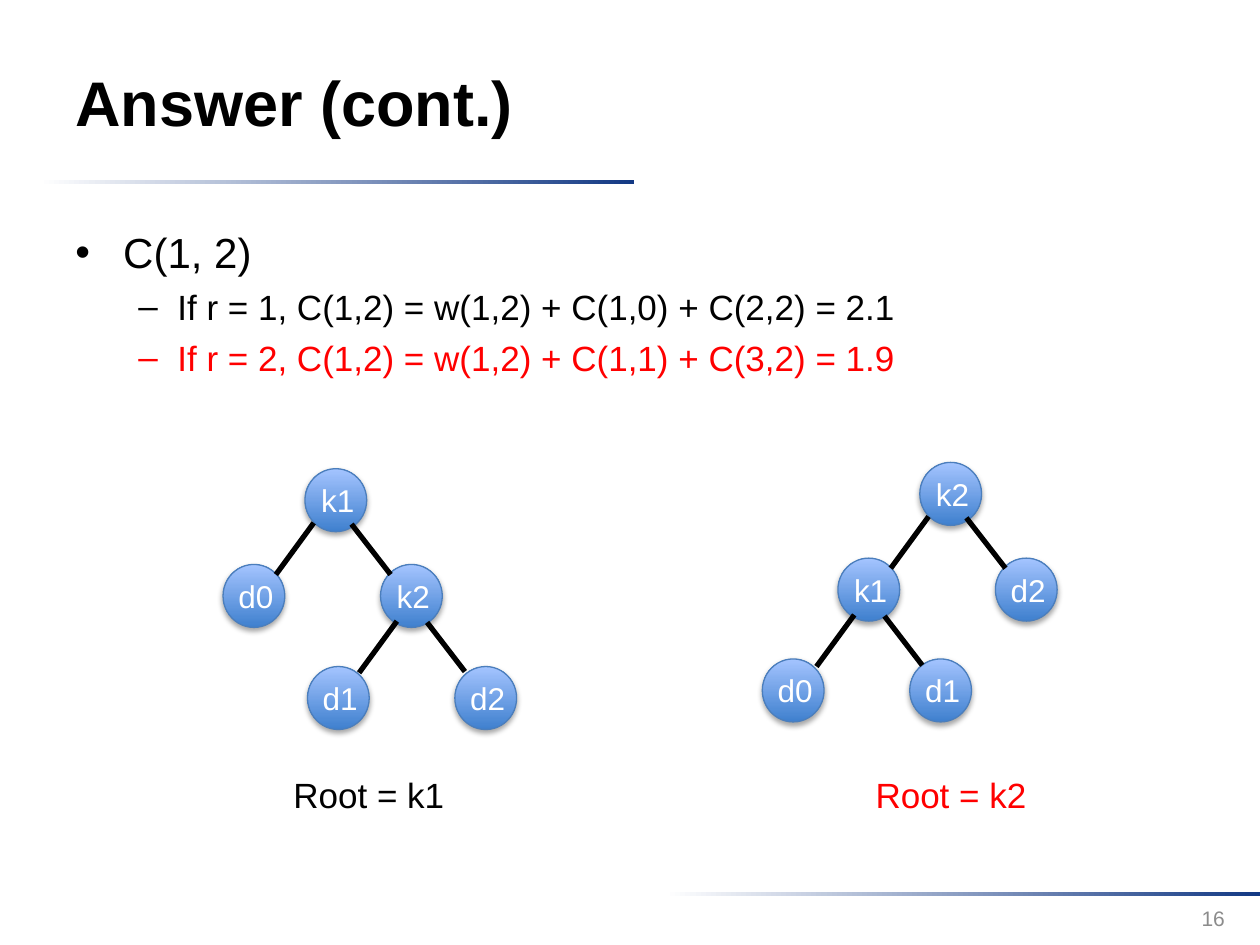
from lxml import etree
from pptx import Presentation
from pptx.dml.color import RGBColor
from pptx.enum.shapes import MSO_CONNECTOR, MSO_SHAPE
from pptx.enum.text import MSO_ANCHOR, PP_ALIGN
from pptx.oxml import parse_xml
from pptx.oxml.ns import nsdecls, qn
from pptx.util import Inches, Pt

LEFT, CENTER, RIGHT = PP_ALIGN.LEFT, PP_ALIGN.CENTER, PP_ALIGN.RIGHT
TOP, MIDDLE = MSO_ANCHOR.TOP, MSO_ANCHOR.MIDDLE
OVAL, RECTANGLE = MSO_SHAPE.OVAL, MSO_SHAPE.RECTANGLE
STRAIGHT = MSO_CONNECTOR.STRAIGHT

BLACK, RED, WHITE, GRAY = "000000", "FF0000", "FFFFFF", "8C8C8C"
NAVY, NODE_DARK, NODE_LIGHT, NODE_LINE = "133984", "3F80CE", "A4C4FF", "4B7EBC"

NODE_SHADOW = (
    f'<a:effectLst {nsdecls("a")}><a:outerShdw blurRad="39370" dist="22860" '
    'dir="5400000" rotWithShape="0"><a:srgbClr val="000000">'
    '<a:alpha val="35000"/></a:srgbClr></a:outerShdw></a:effectLst>'
)

UPPER_EDGES = ((0.07, 0.43, -0.30, 0.41), (0.37, 0.44, 0.31, 0.40))
LOWER_EDGES = ((0.13, 0.45, -0.30, 0.41), (0.37, 0.46, 0.30, 0.39))


def color(value):
    return RGBColor.from_string(value)


class SlideBuilder:
    font_name = "Arial"

    def __init__(self, slide):
        self.slide = slide

    def run(self, paragraph, text, size, ink, bold=False):
        run = paragraph.add_run()
        run.text = text
        run.font.name = self.font_name
        run.font.size = Pt(size)
        run.font.bold = bold
        run.font.color.rgb = color(ink)

    def gradient(self, shape, start, end, angle):
        shape.fill.gradient()
        shape.fill.gradient_angle = angle
        for stop, value in zip(shape.fill.gradient_stops, (start, end)):
            stop.color.rgb = color(value)

    def rule(self, left, top):
        shape = self.slide.shapes.add_shape(
            RECTANGLE, Inches(left), Inches(top), Inches(4.72), Inches(0.03))
        shape.shadow.inherit = False
        shape.line.fill.background()
        self.gradient(shape, WHITE, NAVY, 0)

    def text_box(self, box, anchor=TOP, wrap=True, parent=None):
        shapes = (parent or self.slide).shapes
        frame = shapes.add_textbox(*map(Inches, box)).text_frame
        frame.word_wrap = wrap
        frame.vertical_anchor = anchor
        return frame

    def label(self, box, text, size, ink, align=LEFT, bold=False, **options):
        paragraph = self.text_box(box, **options).paragraphs[0]
        paragraph.alignment = align
        self.run(paragraph, text, size, ink, bold)

    def bullets(self, box, items):
        frame = self.text_box(box)
        for index, (text, mark, size, ink, margin, hanging) in enumerate(items):
            paragraph = frame.paragraphs[0] if index == 0 else frame.add_paragraph()
            properties = paragraph._p.get_or_add_pPr()
            properties.set("marL", str(Inches(margin)))
            properties.set("indent", str(-Inches(hanging)))
            etree.SubElement(properties, qn("a:buFont")).set("typeface", self.font_name)
            etree.SubElement(properties, qn("a:buChar")).set("char", mark)
            if index:
                paragraph.level = 1
                paragraph.space_before = Pt(5)
            self.run(paragraph, text, size, ink)

    def node(self, group, left, top, text):
        shape = group.shapes.add_shape(
            OVAL, Inches(left), Inches(top), Inches(0.49), Inches(0.5))
        self.gradient(shape, NODE_DARK, NODE_LIGHT, 90)
        shape.line.color.rgb = color(NODE_LINE)
        shape.line.width = Pt(0.75)
        shape._element.spPr.append(parse_xml(NODE_SHADOW))
        self.label((left + 0.02, top + 0.05, 0.48, 0.4), text, 18, WHITE,
                   CENTER, wrap=False, parent=group)

    def edge(self, group, left, top, width, height):
        connector = group.shapes.add_connector(
            STRAIGHT, Inches(left), Inches(top),
            Inches(left + width), Inches(top + height))
        connector.line.color.rgb = color(BLACK)
        connector.line.width = Pt(3)
        etree.SubElement(connector._element.spPr, qn("a:effectLst"))

    def tree(self, left, top, root, inner, nodes):
        group = self.slide.shapes.add_group_shape()
        self.node(group, left, top, root)
        for text, across, down in nodes:
            self.node(group, left + across, top + down, text)
        inner_left, inner_top = inner
        levels = ((left, top, UPPER_EDGES),
                  (left + inner_left, top + inner_top, LOWER_EDGES))
        for parent_left, parent_top, edges in levels:
            for across, down, width, height in edges:
                self.edge(group, parent_left + across, parent_top + down, width, height)


def main():
    presentation = Presentation()
    presentation.slide_width = Inches(10)
    presentation.slide_height = Inches(7.5)
    slide = presentation.slides.add_slide(presentation.slide_layouts[6])
    builder = SlideBuilder(slide)

    builder.rule(0.31, 1.43)
    builder.rule(5.28, 7.08)
    builder.label((0.5, 0.18, 7.73, 1.25), "Answer (cont.)", 36, BLACK,
                  bold=True, anchor=MIDDLE)
    builder.bullets((0.5, 1.75, 9, 1.42), (
        ("C(1, 2)", "•", 24, BLACK, 0.38, 0.38),
        ("If r = 1, C(1,2) = w(1,2) + C(1,0) + C(2,2) = 2.1", "–", 20, BLACK, 0.81, 0.31),
        ("If r = 2, C(1,2) = w(1,2) + C(1,1) + C(3,2) = 1.9", "–", 20, RED, 0.81, 0.31),
    ))
    builder.label((7.49, 7.09, 2.33, 0.4), "16", 12, GRAY, RIGHT, anchor=MIDDLE)

    builder.tree(2.42, 3.72, "k1", (0.6, 0.76), (
        ("k2", 0.6, 0.76), ("d1", 0.02, 1.57), ("d0", -0.65, 0.76), ("d2", 1.19, 1.57)))
    builder.label((2.23, 6.09, 1.41, 0.44), "Root = k1", 20, BLACK, wrap=False)
    builder.tree(7.3, 3.67, "k2", (-0.65, 0.76), (
        ("d2", 0.6, 0.76), ("d0", -1.25, 1.56), ("k1", -0.65, 0.76), ("d1", -0.08, 1.56)))
    builder.label((6.85, 6.09, 1.41, 0.44), "Root = k2", 20, RED, wrap=False)

    presentation.save("out.pptx")


if __name__ == "__main__":
    main()
